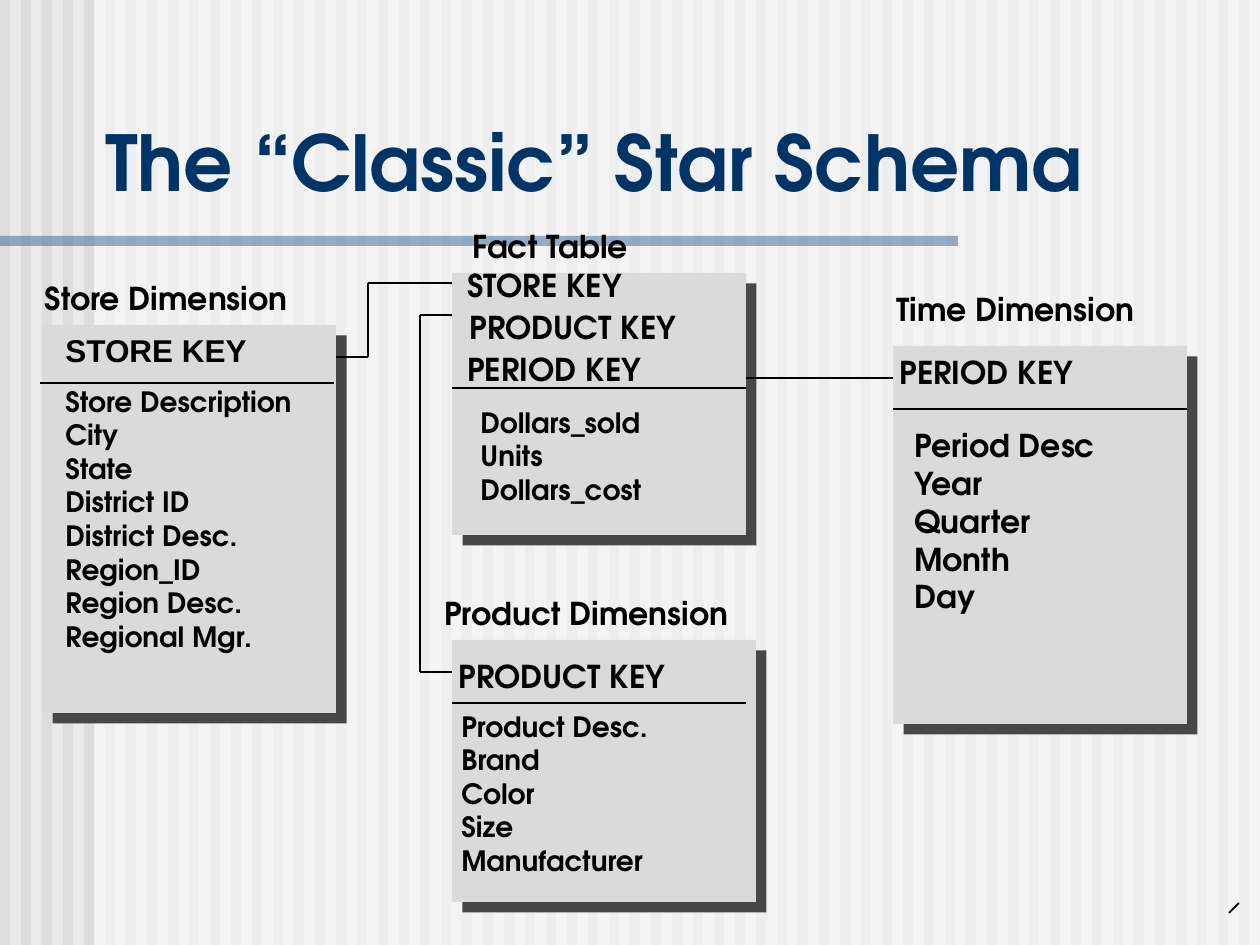
from lxml import etree
from pptx import Presentation
from pptx.dml.color import RGBColor
from pptx.enum.shapes import MSO_CONNECTOR, MSO_SHAPE
from pptx.enum.text import MSO_ANCHOR, MSO_AUTO_SIZE, PP_ALIGN
from pptx.oxml import parse_xml
from pptx.oxml.ns import qn
from pptx.util import Emu, Pt

RECTANGLE = MSO_SHAPE.RECTANGLE
STRAIGHT = MSO_CONNECTOR.STRAIGHT
FONT = "TeX Gyre Adventor"
TITLE_ONLY = 5
SHADOW = (
    '<a:effectLst xmlns:a="http://schemas.openxmlformats.org/drawingml/2006/main">'
    '<a:outerShdw blurRad="0" dist="107950" dir="2700000" algn="ctr" rotWithShape="0">'
    '<a:srgbClr val="474747"/></a:outerShdw></a:effectLst>'
)


def px(*lengths):
    """Turn pixels, 126 to the inch, into EMU."""
    return [Emu(round(length * 914400 / 126)) for length in lengths]


def add_block(page, place, color, alpha=100):
    """Add a rectangle without outline; alpha is its opacity in percent."""
    block = page.shapes.add_shape(RECTANGLE, *px(*place))
    block.shadow.inherit = False
    block.line.fill.background()
    block.fill.solid()
    block.fill.fore_color.rgb = RGBColor.from_string(color)
    if alpha < 100:
        color_tag = next(block._element.spPr.iter(qn("a:srgbClr")))
        etree.SubElement(color_tag, qn("a:alpha"), val=str(alpha * 1000))
    return block


deck = Presentation()
deck.slide_width, deck.slide_height = px(1260, 945)
page = deck.slides.add_slide(deck.slide_layouts[TITLE_ONLY])
page.background.fill.solid()
page.background.fill.fore_color.rgb = RGBColor.from_string("EAEAEA")

# Striped backdrop, paler to the right, with a rule under the title
for stripe in range(60):
    add_block(page, (stripe * 21, 0, 10, 945), "DDDDDD")
add_block(page, (94, 0, 1166, 945), "FFFFFF", 50)
add_block(page, (0, 236, 958, 10), "336699", 50)

# Title, brought in front of the backdrop
title = page.shapes.title
page.shapes._spTree.append(title._element)
title.left, title.top, title.width, title.height = px(105, 42, 1155, 165)
frame = title.text_frame
frame.text = "The “Classic” Star Schema"
frame.auto_size = MSO_AUTO_SIZE.NONE
frame.vertical_anchor = MSO_ANCHOR.BOTTOM
frame.margin_left = frame.margin_right = frame.margin_top = frame.margin_bottom = 0
para = frame.paragraphs[0]
para.alignment = PP_ALIGN.LEFT
para.font.name = FONT
para.font.size = Pt(44)
para.font.bold = True
para.font.color.rgb = RGBColor.from_string("003366")

# Table cards
cards = [
    (42, 325, 294, 388),   # store
    (452, 640, 304, 262),  # product
    (452, 273, 294, 262),  # fact
    (893, 346, 294, 378),  # time
]
for place in cards:
    properties = add_block(page, place, "DADADA")._element.spPr
    properties.replace(properties.find(qn("a:effectLst")), parse_xml(SHADOW))

# Rules below the keys, and links between the keys: x1, y1, x2, y2, points
lines = [
    (40, 383, 334, 383, 1),
    (452, 703, 746, 703, 1),
    (452, 388, 746, 388, 1),
    (893, 409, 1187, 409, 1),
    (746, 378, 893, 378, 1),
    (452, 315, 420, 315, 1),
    (420, 315, 420, 672, 1),
    (420, 672, 452, 672, 1),
    (368, 283, 452, 283, 1),
    (368, 283, 368, 357, 0.75),
    (336, 357, 368, 357, 1),
    (1239, 903, 1229, 913, 1),
]
for *ends, weight in lines:
    line = page.shapes.add_connector(STRAIGHT, *px(*ends))
    line.line.width = Pt(weight)
    line.line.color.rgb = RGBColor.from_string("000000")
    etree.SubElement(line._element.spPr, qn("a:effectLst"))

# Headings, keys and columns: left, top, width, height, size, font, rows
labels = [
    (32, 273, 306, 50, 18, FONT, ["Store Dimension"]),
    (460, 221, 185, 50, 18, FONT, ["Fact Table"]),
    (432, 588, 326, 50, 18, FONT, ["Product Dimension"]),
    (884, 284, 280, 50, 18, FONT, ["Time Dimension"]),
    (53, 325, 208, 50, 18, "Arial", ["STORE KEY"]),
    (455, 260, 192, 50, 18, FONT, ["STORE KEY"]),
    (457, 302, 243, 50, 18, FONT, ["PRODUCT KEY"]),
    (455, 344, 210, 50, 18, FONT, ["PERIOD KEY"]),
    (446, 651, 243, 50, 18, FONT, ["PRODUCT KEY"]),
    (887, 347, 210, 50, 18, FONT, ["PERIOD KEY"]),
    (53, 378, 296, 315, 16, FONT,
     ["Store Description", "City", "State", "District ID", "District Desc.",
      "Region_ID", "Region Desc.", "Regional Mgr."]),
    (468, 399, 193, 113, 16, FONT, ["Dollars_sold", "Units", "Dollars_cost"]),
    (449, 703, 219, 214, 16, FONT,
     ["Product Desc.", "Brand", "Color", "Size", "Manufacturer"]),
    (902, 420, 209, 239, 18, FONT,
     ["Period Desc", "Year", "Quarter", "Month", "Day"]),
]
for *place, size, font, rows in labels:
    box = page.shapes.add_textbox(*px(*place))
    box.text_frame.word_wrap = True
    box.text_frame.text = "\n".join(rows)
    for para in box.text_frame.paragraphs:
        para.font.name = font
        para.font.size = Pt(size)
        para.font.bold = True
        para.font.color.rgb = RGBColor.from_string("000000")

deck.save("out.pptx")
